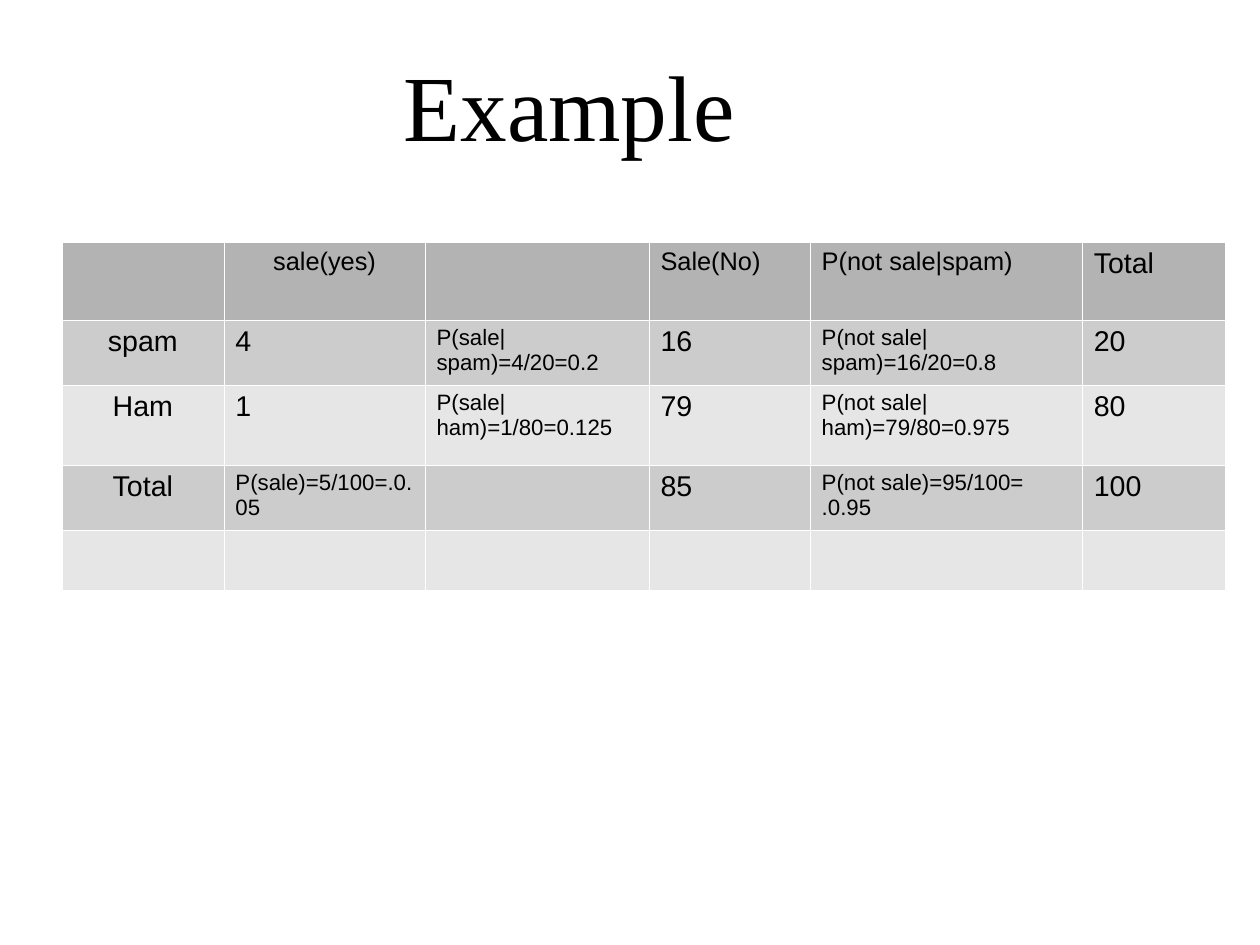
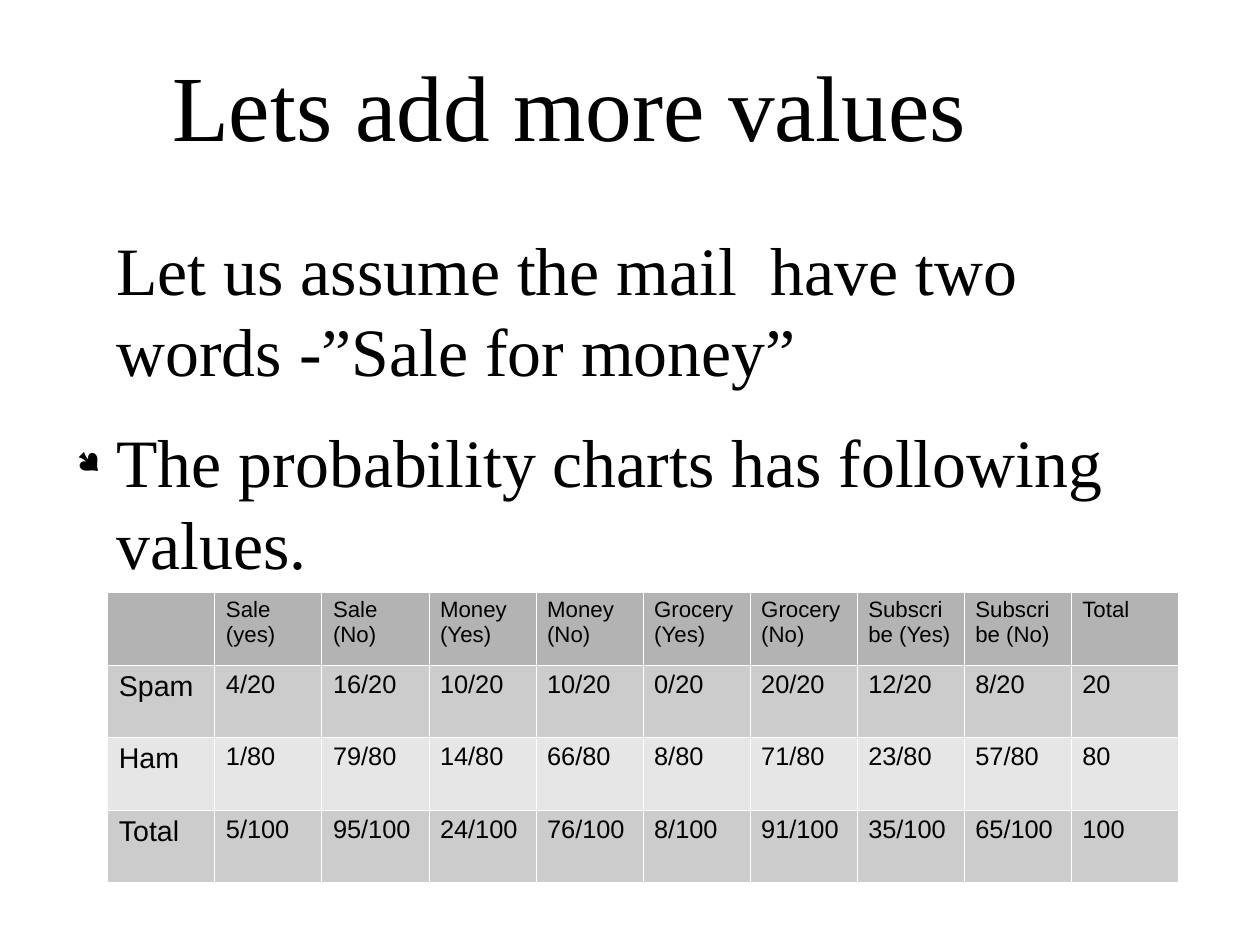
from collections.abc import Callable
from dataclasses import dataclass

from lxml.etree import SubElement
from pptx import Presentation
from pptx.dml.color import RGBColor
from pptx.enum.text import MSO_ANCHOR as Anchor, PP_ALIGN as Align
from pptx.oxml.ns import qn
from pptx.util import Inches, Pt

COLORS = {
    "text": "000000",
    "rule": "FFFFFF",
    "header": "B3B3B3",
    "odd": "CCCCCC",
    "even": "E6E6E6",
}
SERIF, SANS, SYMBOL = "Times New Roman", "Arial", "Wingdings"
BORDER_EMU = 720
CM_PER_INCH = 2.54


@dataclass(frozen=True)
class Frame:
    left: float
    top: float
    width: float
    height: float


@dataclass(frozen=True)
class Grid:
    """A table; size_of and align_of take row, column and text."""
    left: float
    top: float
    widths: list[float]
    heights: list[float]
    rows: list[list[str]]
    size_of: Callable[[int, int, str], float]
    align_of: Callable[[int, int, str], Align]


TITLE = Frame(0.55, 0.31, 8.86, 1.21)
BODY = Frame(0.55, 1.99, 9.92, 4.79)


def example_size(row: int, column: int, text: str) -> float:
    if row == 0:
        return 18 if text == "Total" else 16
    return 14 if text.startswith("P(") else 18


def example_align(row: int, column: int, text: str) -> Align:
    return Align.CENTER if column == 0 or text == "sale(yes)" else Align.LEFT


def values_size(row: int, column: int, text: str) -> float:
    if row == 0:
        return 14
    return 18 if column == 0 else 16


def values_align(row: int, column: int, text: str) -> Align:
    return Align.LEFT


EXAMPLE = Grid(
    0.54, 2.12,
    [1.42, 1.76, 1.96, 1.41, 2.38, 1.25],
    [0.68, 0.56, 0.7, 0.56, 0.53],
    [
        ["", "sale(yes)", "", "Sale(No)", "P(not sale|spam)", "Total"],
        ["spam", "4", "P(sale|spam)=4/20=0.2", "16", "P(not sale|spam)=16/20=0.8", "20"],
        ["Ham", "1", "P(sale|ham)=1/80=0.125", "79", "P(not sale|ham)=79/80=0.975", "80"],
        ["Total", "P(sale)=5/100=.0.05", "", "85", "P(not sale)=95/100= .0.95", "100"],
        [""] * 6,
    ],
    example_size, example_align,
)

VALUES = Grid(
    0.94, 5.18,
    [9.37 / 10] * 10,
    [2.54 / 4] * 4,
    [
        ["", "Sale (yes)", "Sale (No)", "Money (Yes)", "Money (No)", "Grocery (Yes)",
         "Grocery (No)", "Subscribe (Yes)", "Subscribe (No)", "Total"],
        ["Spam", "4/20", "16/20", "10/20", "10/20", "0/20", "20/20", "12/20", "8/20", "20"],
        ["Ham", "1/80", "79/80", "14/80", "66/80", "8/80", "71/80", "23/80", "57/80", "80"],
        ["Total", "5/100", "95/100", "24/100", "76/100", "8/100", "91/100", "35/100",
         "65/100", "100"],
    ],
    values_size, values_align,
)


def write(para, text: str, *, size: float, font: str, align: Align = Align.LEFT,
          after: float = 0) -> None:
    para.alignment = align
    para.space_after = Pt(after)
    span = para.add_run()
    span.text = text
    span.font.size = Pt(size)
    span.font.name = font
    span.font.color.rgb = RGBColor.from_string(COLORS["text"])


def indent(para, *, left: float, hanging: float = 0, bullet: str = "") -> None:
    properties = para._p.get_or_add_pPr()
    properties.set("marL", str(Inches(left)))
    properties.set("indent", str(-Inches(hanging)))
    if bullet:
        color = SubElement(properties, qn("a:buClr"))
        SubElement(color, qn("a:srgbClr"), val=COLORS["text"])
        SubElement(properties, qn("a:buSzPct"), val="45000")
        SubElement(properties, qn("a:buFont"), typeface=SYMBOL, charset="2")
        SubElement(properties, qn("a:buChar"), char=bullet)
    else:
        SubElement(properties, qn("a:buNone"))


def add_box(page, frame: Frame, anchor: Anchor):
    """Add a wrapping text box without insets and return its text frame."""
    box = page.shapes.add_textbox(Inches(frame.left), Inches(frame.top),
                                  Inches(frame.width), Inches(frame.height)).text_frame
    box.word_wrap = True
    box.vertical_anchor = anchor
    box.margin_left = box.margin_top = box.margin_right = box.margin_bottom = 0
    return box


def add_page(deck, title: str):
    page = deck.slides.add_slide(deck.slide_layouts[6])
    box = add_box(page, TITLE, Anchor.MIDDLE)
    write(box.paragraphs[0], title, size=58.7, font=SERIF, align=Align.CENTER)
    return page


def add_body(page, items: list[tuple[str, float, str]]) -> None:
    """Write items of text, hanging indent and bullet."""
    box = add_box(page, BODY, Anchor.TOP)
    for index, (text, hanging, bullet) in enumerate(items):
        para = box.add_paragraph() if index else box.paragraphs[0]
        indent(para, left=0.47, hanging=hanging, bullet=bullet)
        write(para, text, size=42.7, font=SERIF, after=18.9)


def style_cell(cell, color: str) -> None:
    properties = cell._tc.get_or_add_tcPr()
    for side in ("lnL", "lnR", "lnT", "lnB"):
        line = SubElement(properties, qn(f"a:{side}"), w=str(BORDER_EMU))
        fill = SubElement(line, qn("a:solidFill"))
        SubElement(fill, qn("a:srgbClr"), val=COLORS["rule"])
    cell.fill.solid()
    cell.fill.fore_color.rgb = RGBColor.from_string(COLORS[color])


def add_grid(page, grid: Grid) -> None:
    table = page.shapes.add_table(
        len(grid.heights), len(grid.widths), Inches(grid.left), Inches(grid.top),
        Inches(sum(grid.widths)), Inches(sum(grid.heights))).table
    table.first_row = table.horz_banding = False
    for column, width in zip(table.columns, grid.widths):
        column.width = Inches(width)
    for row, (height, texts) in enumerate(zip(grid.heights, grid.rows)):
        table.rows[row].height = Inches(height)
        color = "header" if row == 0 else "odd" if row % 2 else "even"
        for column, text in enumerate(texts):
            cell = table.cell(row, column)
            style_cell(cell, color)
            if text:
                write(cell.text_frame.paragraphs[0], text, font=SANS,
                      size=grid.size_of(row, column, text),
                      align=grid.align_of(row, column, text))


def main() -> None:
    deck = Presentation()
    deck.slide_width = Inches(28 / CM_PER_INCH)
    deck.slide_height = Inches(21 / CM_PER_INCH)

    add_grid(add_page(deck, "Example"), EXAMPLE)

    page = add_page(deck, "Lets add more values")
    add_body(page, [
        ("Let us assume the mail  have two words -”Sale for money”", 0, ""),
        ("The probability charts has following values.", 0.35, "●"),
    ])
    add_grid(page, VALUES)

    deck.save("out.pptx")


if __name__ == "__main__":
    main()
